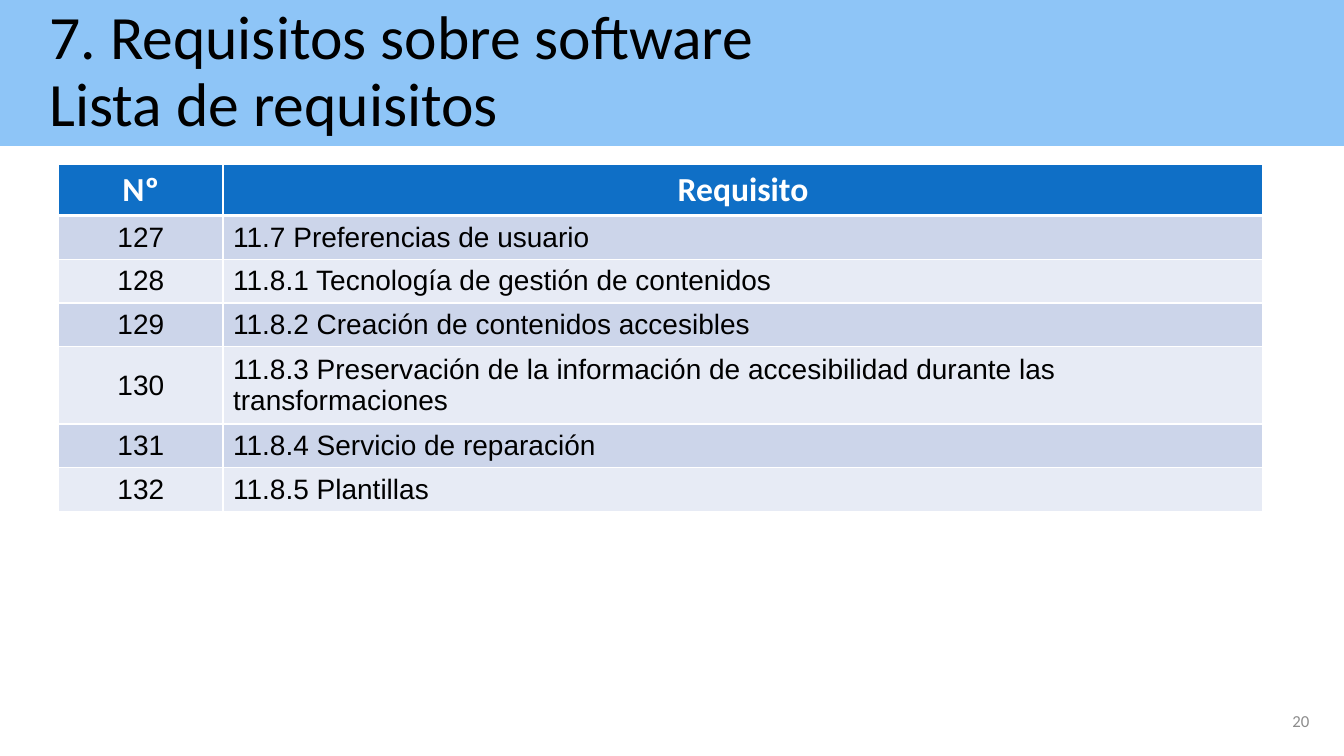
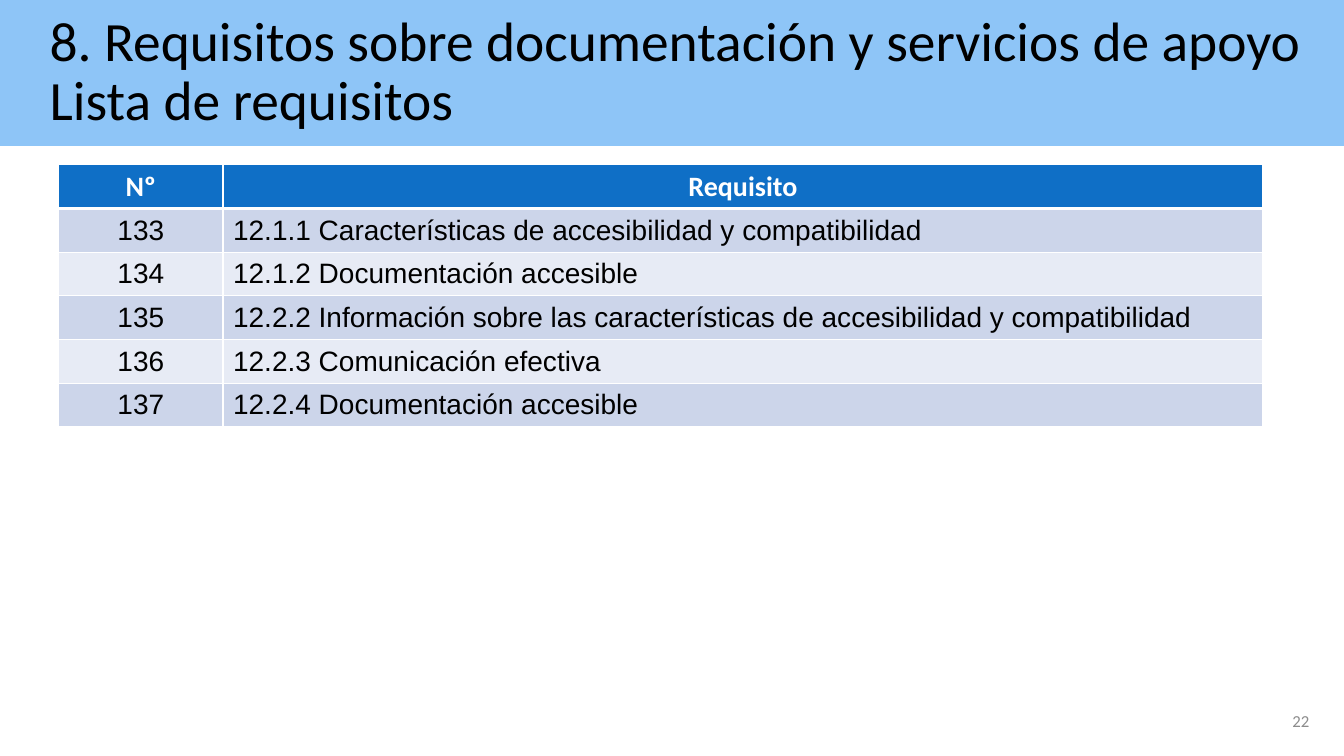
"""Build two slides that list numbered accessibility requirements in tables."""
import pptx
import pptx.dml.color
import pptx.enum.shapes
import pptx.enum.text
import pptx.oxml
import pptx.oxml.ns
import pptx.util

Cm = pptx.util.Cm
Pt = pptx.util.Pt
ALIGN = pptx.enum.text.PP_ALIGN
MIDDLE = pptx.enum.text.MSO_ANCHOR.MIDDLE

COLORS = {
    "band": "8EC5F7",
    "header": "0F6FC6",
    "odd": "CCD5EA",
    "even": "E7EBF5",
    "border": "FFFFFF",
    "header_text": "FFFFFF",
    "text": "000000",
    "number": "8C8C8C",
}
WIDTH, HEIGHT = Cm(33.87), Cm(19.05)
COLUMN_WIDTHS = [Cm(4.14), Cm(26.21)]
ROW_HEIGHT, WRAPPED_HEIGHT = Cm(1.04), Cm(1.84)

PAGES = [
    {
        "title": "7. Requisitos sobre software",
        "title_size": 44,
        "header_size": 24,
        "header_height": Cm(1.28),
        "number": 20,
        "first": 127,
        "requirements": [
            "11.7 Preferencias de usuario",
            "11.8.1 Tecnología de gestión de contenidos",
            "11.8.2 Creación de contenidos accesibles",
            "11.8.3 Preservación de la información de accesibilidad durante las transformaciones",
            "11.8.4 Servicio de reparación",
            "11.8.5 Plantillas",
        ],
        "wrapped_rows": [4],
    },
    {
        "title": "8. Requisitos sobre documentación y servicios de apoyo",
        "title_size": 39.6,
        "header_size": 20,
        "header_height": Cm(1.1),
        "number": 22,
        "first": 133,
        "requirements": [
            "12.1.1 Características de accesibilidad y compatibilidad",
            "12.1.2 Documentación accesible",
            "12.2.2 Información sobre las características de accesibilidad y compatibilidad",
            "12.2.3 Comunicación efectiva",
            "12.2.4 Documentación accesible",
        ],
        "wrapped_rows": [],
    },
]


def write(frame, text, size, font, color, align, bold=False):
    frame.word_wrap = True
    para = frame.paragraphs[0]
    para.text = text
    para.alignment = align
    para.font.size = Pt(size)
    para.font.name = font
    para.font.bold = bold
    para.font.color.rgb = pptx.dml.color.RGBColor.from_string(COLORS[color])
    return para


def paint(fill, color):
    fill.solid()
    fill.fore_color.rgb = pptx.dml.color.RGBColor.from_string(COLORS[color])


deck = pptx.Presentation()
deck.slide_width, deck.slide_height = WIDTH, HEIGHT

for content in PAGES:
    page = deck.slides.add_slide(deck.slide_layouts[6])

    band = page.shapes.add_shape(
        pptx.enum.shapes.MSO_SHAPE.RECTANGLE, 0, 0, WIDTH, Cm(3.68))
    band.shadow.inherit = False
    band.line.fill.background()
    paint(band.fill, "band")
    band.text_frame.vertical_anchor = MIDDLE
    band.text_frame.margin_left = Cm(1.25)
    title = write(band.text_frame, content["title"] + "\vLista de requisitos",
                  content["title_size"], "Calibri", "text", ALIGN.LEFT)
    title.line_spacing = 0.9

    number_box = page.shapes.add_textbox(Cm(25.63), Cm(17.65), Cm(7.62), Cm(1.02))
    number_box.text_frame.vertical_anchor = MIDDLE
    write(number_box.text_frame, str(content["number"]), 12, "Calibri",
          "number", ALIGN.RIGHT)

    rows = [("Nº", "Requisito")]
    rows += [(str(number), requirement) for number, requirement
             in enumerate(content["requirements"], content["first"])]
    heights = [content["header_height"]] + [ROW_HEIGHT] * (len(rows) - 1)
    for index in content["wrapped_rows"]:
        heights[index] = WRAPPED_HEIGHT
    table = page.shapes.add_table(len(rows), 2, Cm(1.48), Cm(4.15),
                                  sum(COLUMN_WIDTHS), sum(heights)).table
    for column, width in zip(table.columns, COLUMN_WIDTHS):
        column.width = width

    for row_index, texts in enumerate(rows):
        table.rows[row_index].height = heights[row_index]
        for column_index, text in enumerate(texts):
            cell = table.cell(row_index, column_index)
            cell.vertical_anchor = MIDDLE
            if row_index == 0:
                fill = "header"
                write(cell.text_frame, text, content["header_size"], "Calibri",
                      "header_text", ALIGN.CENTER, bold=True)
            else:
                fill = "odd" if row_index % 2 else "even"
                write(cell.text_frame, text, 20, "Arial", "text",
                      ALIGN.LEFT if column_index else ALIGN.CENTER)
            for side in "LRTB":
                thick = (row_index, side) in [(0, "B"), (1, "T")]
                cell._tc.get_or_add_tcPr().append(pptx.oxml.parse_xml(
                    f'<a:ln{side} {pptx.oxml.ns.nsdecls("a")} w="{Pt(3 if thick else 1)}">'
                    f'<a:solidFill><a:srgbClr val="{COLORS["border"]}"/></a:solidFill>'
                    f'</a:ln{side}>'))
            paint(cell.fill, fill)

deck.save("out.pptx")
